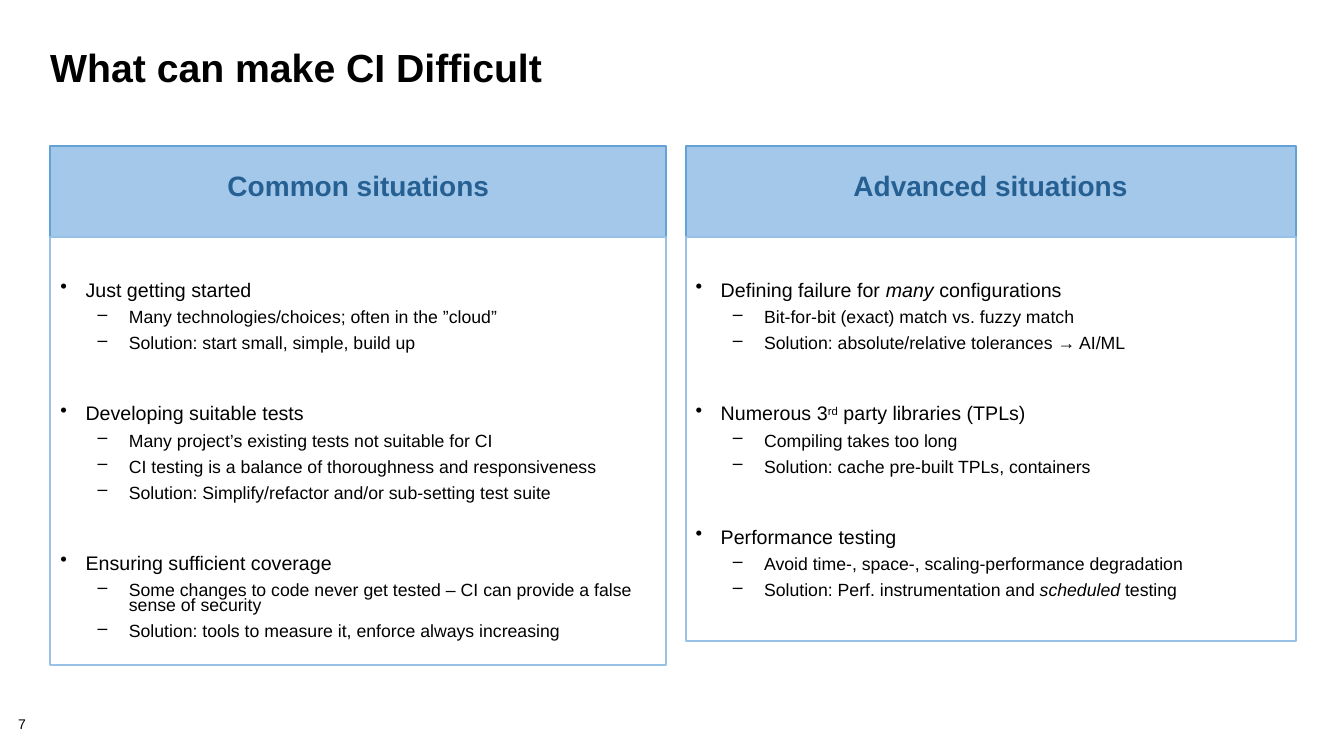
from lxml.etree import SubElement
from pptx import Presentation
from pptx.dml.color import RGBColor
from pptx.enum.shapes import MSO_SHAPE
from pptx.enum.text import MSO_ANCHOR, PP_ALIGN
from pptx.oxml.ns import qn
from pptx.util import Inches, Pt

BLACK = RGBColor(0x00, 0x00, 0x00)
HEADING_BLUE = RGBColor(0x26, 0x60, 0x93)
HEADING_FILL = RGBColor(0xA3, 0xC8, 0xEA)
HEADING_LINE = RGBColor(0x64, 0xA1, 0xD7)
PANEL_LINE = RGBColor(0x98, 0xC1, 0xE8)

# Bars in a text separate the runs; these runs have a format of their own.
RUN_FORMATS = {
    "many": {"i": "1"},
    "scheduled": {"i": "1"},
    "rd": {"baseline": "30000"},
}
TOPIC = {"bullet": "•", "margin": 0.25, "indent": -0.25, "size": 14, "level": 0}
DETAIL = {"bullet": "–", "margin": 0.68, "indent": -0.31, "size": 12.6, "level": 1}
TOPIC_GAP = 39.3
DETAIL_GAP = 8

COLUMNS = [
    {
        "heading": "Common situations", "left": 0.5, "width": 6.11, "height": 4.25,
        "topics": {
            "Just getting started": [
                "Many technologies/choices; often in the ”cloud”",
                "Solution: start small, simple, build up",
            ],
            "Developing suitable tests": [
                "Many project’s existing tests not suitable for CI",
                "CI testing is a balance of thoroughness and responsiveness",
                "Solution: Simplify/refactor and/or sub-setting test suite",
            ],
            "Ensuring sufficient coverage": [
                "Some changes to code never get tested – CI can provide a false "
                "sense of security",
                "Solution: tools to measure it, enforce always increasing",
            ],
        },
    },
    {
        "heading": "Advanced situations", "left": 6.8, "width": 6.05, "height": 4.01,
        "topics": {
            "Defining failure for |many| configurations": [
                "Bit-for-bit (exact) match vs. fuzzy match",
                "Solution: absolute/relative tolerances → AI/ML",
            ],
            "Numerous 3|rd| party libraries (TPLs)": [
                "Compiling takes too long",
                "Solution: cache pre-built TPLs, containers",
            ],
            "Performance testing": [
                "Avoid time-, space-, scaling-performance degradation",
                "Solution: Perf. instrumentation and |scheduled| testing",
            ],
        },
    },
]


def add_runs(paragraph, text, size, spacing, color=BLACK, bold=False):
    """Fill the paragraph with the bar-separated runs of the text."""
    paragraph.line_spacing = spacing
    for part in text.split("|"):
        run = paragraph.add_run()
        run.text = part
        font_format = {"name": "Arial", "size": Pt(size), "bold": bold}
        for attribute, value in font_format.items():
            setattr(run.font, attribute, value)
        run.font.color.rgb = color
        for attribute, value in RUN_FORMATS.get(part, {}).items():
            run.font._element.set(attribute, value)


def add_panel(left, top, width, height, line_color):
    """Add an outlined rectangle without fill and return it."""
    panel = slide.shapes.add_shape(
        MSO_SHAPE.RECTANGLE, Inches(left), Inches(top), Inches(width), Inches(height))
    panel.shadow.inherit = False
    panel.fill.background()
    panel.line.color.rgb = line_color
    panel.line.width = Pt(1.5)
    panel.text_frame.word_wrap = True
    return panel


prs = Presentation()
prs.slide_width, prs.slide_height = Inches(13.33), Inches(7.5)
slide = prs.slides.add_slide(prs.slide_layouts[6])

title = slide.shapes.add_textbox(
    Inches(0.4), Inches(0.45), Inches(12.44), Inches(1)).text_frame
title.word_wrap = True
add_runs(title.paragraphs[0], "What can make CI Difficult", 28, 0.85, bold=True)

page_number = slide.shapes.add_textbox(
    Inches(0.18), Inches(7.12), Inches(0.56), Inches(0.16)).text_frame
for side in ("left", "top", "right", "bottom"):
    setattr(page_number, f"margin_{side}", 0)
add_runs(page_number.paragraphs[0], "7", 10, 0.9)

for column in COLUMNS:
    left, width = column["left"], column["width"]

    heading = add_panel(left, 1.45, width, 0.9, HEADING_LINE)
    heading.fill.solid()
    heading.fill.fore_color.rgb = HEADING_FILL
    heading.text_frame.vertical_anchor = MSO_ANCHOR.BOTTOM
    heading.text_frame.margin_bottom = Inches(0.34)
    heading_text = heading.text_frame.paragraphs[0]
    heading_text.alignment = PP_ALIGN.CENTER
    add_runs(heading_text, column["heading"], 20, 0.9, HEADING_BLUE, bold=True)

    body = add_panel(left, 2.35, width, column["height"], PANEL_LINE).text_frame
    body.vertical_anchor = MSO_ANCHOR.TOP
    body.margin_top = Inches(0.47)

    entries = []
    for topic, details in column["topics"].items():
        entries.append((topic, TOPIC, TOPIC_GAP))
        entries += [(detail, DETAIL, DETAIL_GAP) for detail in details]

    for index, (text, style, gap) in enumerate(entries):
        paragraph = body.add_paragraph() if index else body.paragraphs[0]
        paragraph.alignment = PP_ALIGN.LEFT
        paragraph.level = style["level"]
        properties = paragraph._p.get_or_add_pPr()
        properties.set("marL", str(Inches(style["margin"])))
        properties.set("indent", str(Inches(style["indent"])))
        bullet_color = SubElement(properties, qn("a:buClr"))
        SubElement(bullet_color, qn("a:srgbClr"), val=str(BLACK))
        SubElement(properties, qn("a:buChar"), char=style["bullet"])
        if index:
            paragraph.space_before = Pt(gap)
        add_runs(paragraph, text, style["size"], 0.7)

prs.save("out.pptx")
